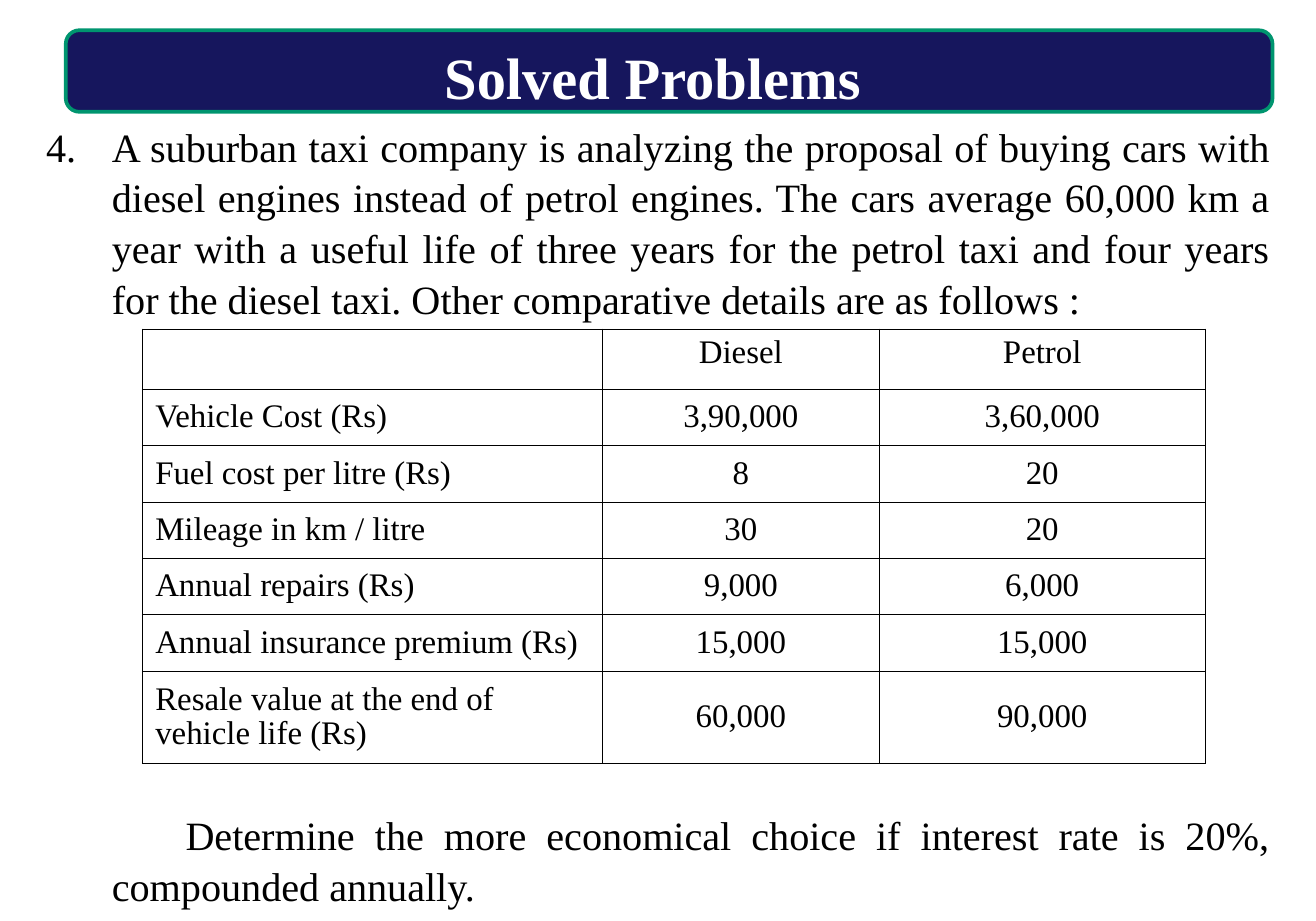
from lxml import etree
from pptx import Presentation
from pptx import util as u
from pptx.dml.color import RGBColor
from pptx.enum import shapes, text
from pptx.oxml import ns

THEME = {
    "font": "Times New Roman",
    "ink": RGBColor(0, 0, 0),
    "title_ink": RGBColor(255, 255, 255),
    "bar": RGBColor.from_string("16165D"),
    "bar_edge": RGBColor.from_string("00956F"),
    "title_size": u.Pt(32),
    "body_size": u.Pt(22),
    "cell_size": u.Pt(18),
    "edge": u.Pt(2),
    "rule": u.Pt(0.45),
}

deck = Presentation()
deck.slide_width, deck.slide_height = u.Inches(10), u.Inches(7)
COLUMN = deck.slide_width / 100
ROW = deck.slide_height / 70
page = deck.slides.add_slide(deck.slide_layouts[1])
title, body = page.placeholders


def grid(left, top, width, height):
    return [round(n * step) for n, step in zip((left, top, width, height), (COLUMN, ROW) * 2)]


def write(para, wording, size, colour, bold=False, **layout):
    span = para.add_run()
    span.text = wording
    for name, value in {"name": THEME["font"], "size": size, "bold": bold}.items():
        setattr(span.font, name, value)
    span.font.color.rgb = colour
    for name, value in layout.items():
        setattr(para, name, value)


bar = page.shapes.add_shape(shapes.MSO_SHAPE.ROUNDED_RECTANGLE, *grid(5, 2.3, 91.7, 6.2))
bar.shadow.inherit = False
bar.fill.solid()
bar.fill.fore_color.rgb = THEME["bar"]
bar.line.color.rgb = THEME["bar_edge"]
bar.line.width = THEME["edge"]
title.element.addprevious(bar.element)

placements = (
    (title, grid(7.3, 2.7, 84.6, 6.2), text.MSO_ANCHOR.MIDDLE, 0.5),
    (body, grid(2.5, 8.3, 95, 57.5), text.MSO_ANCHOR.TOP, 0.8),
)
for box, place, anchor, top_margin in placements:
    for name, value in zip(("left", "top", "width", "height"), place):
        setattr(box, name, value)
    frame = {
        "auto_size": text.MSO_AUTO_SIZE.NONE,
        "word_wrap": True,
        "vertical_anchor": anchor,
        "margin_top": round(top_margin * ROW),
    }
    for name, value in frame.items():
        setattr(box.text_frame, name, value)

write(title.text_frame.paragraphs[0], "Solved Problems", THEME["title_size"],
      THEME["title_ink"], bold=True, alignment=text.PP_ALIGN.CENTER)

problem = (
    ("A suburban taxi company is analyzing the proposal of buying cars with diesel engines "
     "instead of petrol engines. The cars average 60,000 km a year with a useful life of three "
     "years for the petrol taxi and four years for the diesel taxi. Other comparative details "
     "are as follows :", 0, -5, "buAutoNum", {"type": "arabicPeriod", "startAt": "4"}),
    ("Determine the more economical choice if interest rate is 20%, compounded annually.",
     266, 5.6, "buNone", {}),
)
paras = (body.text_frame.paragraphs[0], body.text_frame.add_paragraph())
for para, (wording, gap, indent, marker, options) in zip(paras, problem):
    write(para, wording, THEME["body_size"], THEME["ink"],
          alignment=text.PP_ALIGN.JUSTIFY, line_spacing=1.05,
          space_before=u.Pt(gap), space_after=u.Pt(0))
    layout = para.runs[0].font._element.getparent().getparent().get_or_add_pPr()
    layout.set("marL", str(round(5 * COLUMN)))
    layout.set("indent", str(round(indent * COLUMN)))
    etree.SubElement(layout, ns.qn("a:buFont"), typeface=THEME["font"])
    etree.SubElement(layout, ns.qn(f"a:{marker}"), **options)

costs = (
    ("", "Diesel", "Petrol"),
    ("Vehicle Cost (Rs)", "3,90,000", "3,60,000"),
    ("Fuel cost per litre (Rs)", "8", "20"),
    ("Mileage in km / litre", "30", "20"),
    ("Annual repairs (Rs)", "9,000", "6,000"),
    ("Annual insurance premium (Rs)", "15,000", "15,000"),
    ("Resale value at the end of vehicle life (Rs)", "60,000", "90,000"),
)
widths = (35, 21, 24.8)
heights = (4.6, *[4.28] * 5, 7)
table = page.shapes.add_table(
    len(costs), len(widths), *grid(10.8, 25, sum(widths), sum(heights))).table
table.first_row = table.horz_banding = False
for column, width in zip(table.columns, widths):
    column.width = round(width * COLUMN)
for line, height in zip(table.rows, heights):
    line.height = round(height * ROW)

for r, entries in enumerate(costs):
    for c, wording in enumerate(entries):
        cell = table.cell(r, c)
        cell.vertical_anchor = text.MSO_ANCHOR.MIDDLE if r else text.MSO_ANCHOR.TOP
        for side in ("lnL", "lnR", "lnT", "lnB"):
            border = etree.SubElement(
                cell._tc.get_or_add_tcPr(), ns.qn(f"a:{side}"), w=str(THEME["rule"]))
            paint = etree.SubElement(border, ns.qn("a:solidFill"))
            etree.SubElement(paint, ns.qn("a:srgbClr"), val=str(THEME["ink"]))
        cell.fill.background()
        if wording:
            write(cell.text_frame.paragraphs[0], wording, THEME["cell_size"], THEME["ink"],
                  alignment=text.PP_ALIGN.CENTER if c else text.PP_ALIGN.LEFT,
                  line_spacing=0.95)

deck.save("out.pptx")
